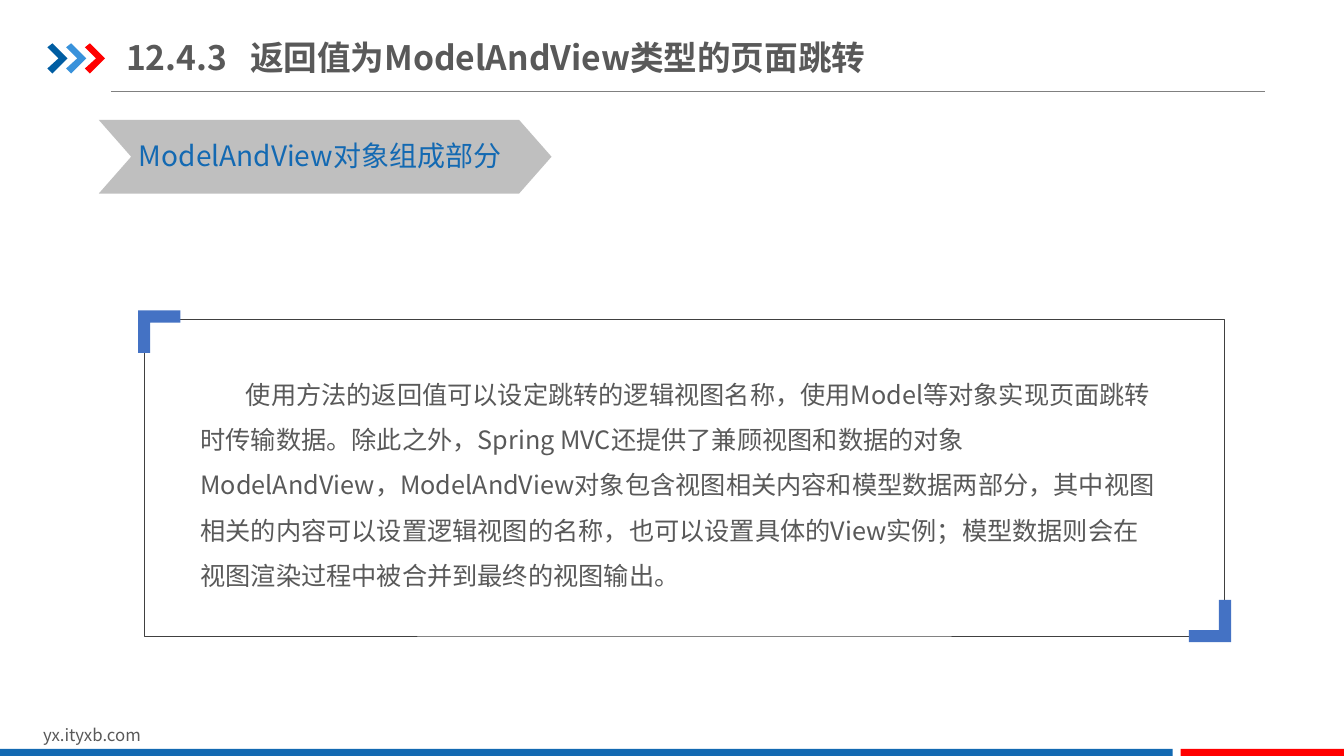
from lxml import etree
from pptx import Presentation
from pptx.dml.color import RGBColor
from pptx.enum.shapes import MSO_CONNECTOR, MSO_SHAPE
from pptx.enum.text import MSO_ANCHOR
from pptx.oxml.ns import qn
from pptx.util import Inches, Pt

RECT, CHEVRON = MSO_SHAPE.RECTANGLE, MSO_SHAPE.CHEVRON
STRAIGHT = MSO_CONNECTOR.STRAIGHT
TOP, MIDDLE = MSO_ANCHOR.TOP, MSO_ANCHOR.MIDDLE

NAVY = RGBColor(0x00, 0x5D, 0xA2)
SKY = RGBColor(0x39, 0x92, 0xDB)
RED = RGBColor(0xFF, 0x00, 0x00)
BLUE = RGBColor(0x13, 0x69, 0xB2)
CORNER_BLUE = RGBColor(0x44, 0x72, 0xC4)
TEXT_GRAY = RGBColor(0x59, 0x59, 0x59)
RULE_GRAY = RGBColor(0x80, 0x80, 0x80)
BANNER_GRAY = RGBColor(0xBF, 0xBF, 0xBF)
FRAME_GRAY = RGBColor(0x40, 0x40, 0x40)

BODY = (
    "使用方法的返回值可以设定跳转的逻辑视图名称，使用Model等对象实现页面跳转时传输数据。"
    "除此之外，Spring MVC还提供了兼顾视图和数据的对象ModelAndView，"
    "ModelAndView对象包含视图相关内容和模型数据两部分，"
    "其中视图相关的内容可以设置逻辑视图的名称，也可以设置具体的View实例；"
    "模型数据则会在视图渲染过程中被合并到最终的视图输出。"
)


def cells(n):
    """Length of n grid cells; a cell is a tenth of an inch square."""
    return Inches(n / 10)


class Canvas:
    """Draws on one slide; every position is in grid columns and rows."""

    font = "Noto Sans CJK SC"

    def __init__(self, slide):
        self.shapes = slide.shapes

    def paint(self, sp, fill=None, line=None, width=0.25):
        sp.shadow.inherit = False
        if fill is None:
            sp.fill.background()
        else:
            sp.fill.solid()
            sp.fill.fore_color.rgb = fill
        if line is None:
            sp.line.fill.background()
        else:
            sp.line.color.rgb = line
            sp.line.width = Pt(width)

    def shape(self, kind, box, **paint):
        sp = self.shapes.add_shape(kind, *map(cells, box))
        self.paint(sp, **paint)
        return sp

    def polygon(self, points, fill):
        start, *rest = [(cells(x), cells(y)) for x, y in points]
        builder = self.shapes.build_freeform(*start)
        builder.add_line_segments(rest, close=True)
        self.paint(builder.convert_to_shape(), fill=fill)

    def rule(self, left, right, row, color, width):
        line = self.shapes.add_connector(
            STRAIGHT, cells(left), cells(row), cells(right), cells(row))
        line.line.color.rgb = color
        line.line.width = Pt(width)
        etree.SubElement(line._element.spPr, qn("a:effectLst"))

    def text(self, box, words, size, color=TEXT_GRAY, bold=False, anchor=TOP,
             margin=1, spacing=None, indent=None, tab=None):
        tf = self.shapes.add_textbox(*map(cells, box)).text_frame
        tf.word_wrap = True
        tf.vertical_anchor = anchor
        tf.margin_left = tf.margin_right = cells(margin)
        p = tf.paragraphs[0]
        p.text = words
        p.line_spacing = spacing
        pPr = p._p.get_or_add_pPr()
        if indent:
            pPr.set("indent", str(cells(indent)))
        if tab:
            tabs = etree.SubElement(pPr, qn("a:tabLst"))
            etree.SubElement(tabs, qn("a:tab"), pos=str(cells(tab)), algn="l")
        for r in p.runs:
            r.font.size, r.font.bold, r.font.name = Pt(size), bold, self.font
            r.font.color.rgb = color
            etree.SubElement(r._r.get_or_add_rPr(), qn("a:ea"), typeface=self.font)

    def arrow(self, left, color):
        outline = [(0, 4.7), (0.5, 4.3), (2, 5.8), (0.5, 7.3), (0, 6.8), (1.1, 5.8)]
        self.polygon([(left + x, y) for x, y in outline], color)

    def corner(self, x, y, direction):
        """L-shaped bracket at (x, y); direction 1 opens down-right, -1 up-left."""
        outline = [(0, 0), (4.2, 0), (4.2, 1.2), (1.2, 1.2), (1.2, 4.2), (0, 4.2)]
        self.polygon([(x + direction * dx, y + direction * dy)
                      for dx, dy in outline], CORNER_BLUE)


def main():
    prs = Presentation()
    prs.slide_width, prs.slide_height = Inches(13.33), Inches(7.5)
    s = Canvas(prs.slides.add_slide(prs.slide_layouts[6]))

    s.rule(11, 125.5, 9.1, RULE_GRAY, 0.5)
    for i, color in enumerate((NAVY, SKY, RED)):
        s.arrow(4.7 + 1.86 * i, color)
    s.text((3.3, 71.4, 31.8, 3), "yx.ityxb.com", 12)
    s.shape(RECT, (0, 74.3, 116.3, 0.7), fill=BLUE)
    s.shape(RECT, (117.1, 74.3, 16.2, 0.7), fill=RED)

    banner = s.shape(CHEVRON, (9.8, 11.9, 44.9, 7.3), fill=BANNER_GRAY)
    banner.adjustments[0] = 0.44
    s.text((12.8, 13.3, 39.5, 4.4), "ModelAndView对象组成部分", 20, BLUE)
    s.text((12.5, 2.9, 76.5, 5.5), "12.4.3\t返回值为ModelAndView类型的页面跳转", 24,
           bold=True, anchor=MIDDLE, margin=0, tab=12.3)

    s.text((18.9, 35.6, 97.1, 23.4), BODY, 18, spacing=1.5, indent=4.5)
    s.shape(RECT, (14.3, 31.7, 107.1, 31.4), line=FRAME_GRAY)
    s.corner(13.7, 30.8, 1)
    s.corner(122.1, 63.7, -1)

    prs.save("out.pptx")


if __name__ == "__main__":
    main()
